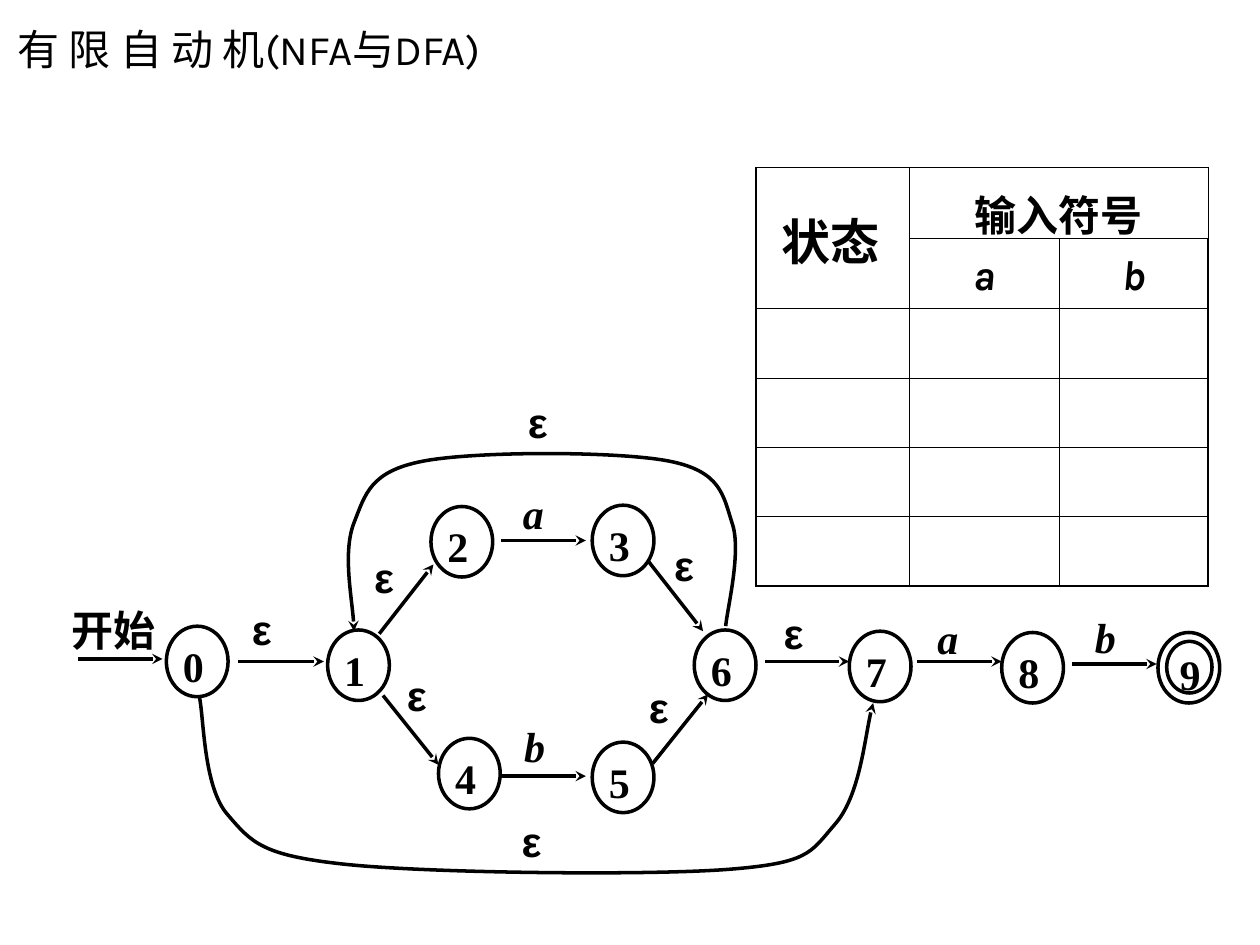
from lxml.etree import SubElement
from pptx import Presentation
from pptx.dml.color import RGBColor
from pptx.enum.shapes import MSO_CONNECTOR, MSO_SHAPE
from pptx.enum.text import MSO_ANCHOR, PP_ALIGN
from pptx.oxml import parse_xml
from pptx.oxml.ns import nsdecls, qn
from pptx.util import Inches, Pt

COLORS = {"ink": "000000", "paper": "FFFFFF"}
COLUMNS, ROWS = 100, 75  # slide grid; one step is a tenth of an inch
SERIF, SANS, TITLE = "Times New Roman", "Arial", "Karla"


class AutomatonSlide:
    def __init__(self):
        self.deck = Presentation()
        self.deck.slide_width, self.deck.slide_height = Inches(10), Inches(7.5)
        self.column = self.deck.slide_width / COLUMNS
        self.row = self.deck.slide_height / ROWS
        self.slide = self.deck.slides.add_slide(self.deck.slide_layouts[6])
        self.shapes = self.slide.shapes

    def grid(self, *lengths):
        """Turn alternating columns and rows into slide lengths."""
        return [round(n * (self.row if i % 2 else self.column))
                for i, n in enumerate(lengths)]

    def color(self, name):
        return RGBColor.from_string(COLORS[name])

    def set_text(self, frame, text, font=SERIF, size=24, bold=True, italic=False,
                 align=PP_ALIGN.LEFT, anchor=MSO_ANCHOR.TOP,
                 margins=(0.06, 0.03, 0.06, 0.03), wrap=True):
        frame.word_wrap, frame.vertical_anchor = wrap, anchor
        (frame.margin_left, frame.margin_top,
         frame.margin_right, frame.margin_bottom) = map(Inches, margins)
        paragraph = frame.paragraphs[0]
        paragraph.text, paragraph.alignment = text, align
        self.style(paragraph, font, size, bold, italic)

    def style(self, paragraph, font, size, bold, italic):
        paragraph.font.name, paragraph.font.size = font, Pt(size)
        paragraph.font.bold, paragraph.font.italic = bold, italic
        paragraph.font.color.rgb = self.color("ink")

    def stroke(self, line, arrow=False):
        line.color.rgb, line.width = self.color("ink"), Pt(2)
        if arrow:
            SubElement(line._get_or_add_ln(), qn("a:tailEnd"), type="stealth")

    def ring(self, x, y, width=4.9, height=5.6):
        ring = self.shapes.add_shape(MSO_SHAPE.OVAL, *self.grid(x, y, width, height))
        ring.shadow.inherit = False
        ring.fill.background()
        self.stroke(ring.line)
        return ring

    def state(self, number, x, y):
        self.set_text(self.ring(x, y).text_frame, number, margins=(0.06, 0.03, 0.02, 0.05))

    def accepting_state(self, number, x, y):
        self.ring(x, y)
        inner = self.ring(x + 0.7, y + 0.7, 3.6, 4.1)
        self.set_text(inner.text_frame, number, margins=(0.05, 0, 0.01, 0))

    def label(self, text, x, y, width=4.3, height=4.5):
        box = self.shapes.add_textbox(*self.grid(x, y, width, height))
        self.set_text(box.text_frame, text, font=SANS if text == "ε" else SERIF,
                      italic=text in ("a", "b"), align=PP_ALIGN.JUSTIFY)

    def arrow(self, start, end):
        arrow = self.shapes.add_connector(MSO_CONNECTOR.STRAIGHT, *self.grid(*start, *end))
        self.stroke(arrow.line, arrow=True)
        SubElement(arrow._element.spPr, qn("a:effectLst"))

    def curve(self, start, *points):
        """Draw cubic curves; every three points make one segment."""
        builder = self.shapes.build_freeform(*self.grid(*start))
        builder.add_line_segments([self.grid(*p) for p in points], close=False)
        curve = builder.convert_to_shape()
        legs = list(curve._element.iter(qn("a:lnTo")))
        outline = legs[0].getparent()
        for i in range(0, len(legs), 3):
            bezier = SubElement(outline, qn("a:cubicBezTo"))
            for leg in legs[i:i + 3]:
                bezier.append(leg[0])
                outline.remove(leg)
        curve.shadow.inherit = False
        curve.fill.background()
        self.stroke(curve.line, arrow=True)

    def panel(self, text, x, y, width, height, **style):
        panel = self.shapes.add_shape(MSO_SHAPE.RECTANGLE, *self.grid(x, y, width, height))
        panel.shadow.inherit = False
        panel.fill.solid()
        panel.fill.fore_color.rgb = self.color("paper")
        panel.line.fill.background()
        self.set_text(panel.text_frame, text, anchor=MSO_ANCHOR.MIDDLE, **style)

    def border(self, cell, widths):
        properties = cell._tc.get_or_add_tcPr()
        for i, (side, width) in enumerate(zip("LRTB", widths)):
            properties.insert(i, parse_xml(
                f'<a:ln{side} {nsdecls("a")} w="{Pt(width)}"><a:solidFill>'
                f'<a:srgbClr val="{COLORS["ink"]}"/></a:solidFill></a:ln{side}>'))

    def transition_table(self, x, y, widths, heights, merges, headings):
        frame = self.shapes.add_table(len(heights), len(widths),
                                      *self.grid(x, y, sum(widths), sum(heights)))
        table = frame.table
        table.first_row = table.horz_banding = False
        for column, width in zip(table.columns, widths):
            column.width = round(width * self.column)
        for row, height in zip(table.rows, heights):
            row.height = round(height * self.row)
        last_row, last_column = len(heights) - 1, len(widths) - 1
        for r in range(len(heights)):
            for c in range(len(widths)):
                cell = table.cell(r, c)
                cell.fill.background()
                outer = (c == 0, c == last_column, r == 0, r == last_row)
                self.border(cell, [1.08 if edge else 0.45 for edge in outer])
        for first, last in merges:
            table.cell(*first).merge(table.cell(*last))
        for (r, c), text in headings.items():
            cell = table.cell(r, c)
            cell.margin_left = cell.margin_right = Inches(0.06)
            paragraph = cell.text_frame.paragraphs[0]
            paragraph.text, paragraph.alignment = text, PP_ALIGN.CENTER
            paragraph.line_spacing = 1.15
            self.style(paragraph, TITLE, 24, True, text in ("a", "b"))


def main():
    page = AutomatonSlide()

    # States
    for number, place in enumerate([
            (13.2, 49.7), (26, 50), (34.2, 40.2), (47, 40.1), (34.8, 58.6),
            (47, 58.9), (55.1, 50), (67.4, 50.1), (79.5, 50.2)]):
        page.state(str(number), *place)
    page.accepting_state("9", 91.9, 50.2)

    # Straight transitions: symbol, label place, arrow start, arrow end
    for symbol, place, start, end in [
            ("ε", (19.4, 47.6), (18.9, 52.5), (25.7, 52.5)),
            ("ε", (29.1, 43.5), (30.1, 50.3), (34.4, 44.8)),
            ("ε", (31.7, 52.8), (30.4, 55.2), (34.8, 60.7)),
            ("a", (40.9, 38.4), (39.8, 42.9), (46.5, 42.9)),
            ("b", (41, 56.9), (39.8, 61.6), (46.5, 61.6)),
            ("ε", (52.9, 42.5), (51.5, 44.6), (55.8, 50.1)),
            ("ε", (50.9, 53.8), (51.8, 60.6), (56.2, 55.1)),
            ("ε", (61.6, 47.9), (60.7, 52.5), (67.4, 52.5)),
            ("a", (73.8, 48.3), (72.8, 52.5), (79.5, 52.5)),
            ("b", (86.3, 48.2), (85.1, 52.7), (91.8, 52.7))]:
        page.label(symbol, *place)
        page.arrow(start, end)
    page.label("开始", 5.1, 47.7, 7.9, 5.3)
    page.arrow((6.2, 52.3), (12.9, 52.3))

    # Curved transitions: 0 to 7 below, 6 back to 1 above
    page.curve((15.8, 55.2),
               (16.2, 56.8), (16.1, 62.5), (18.1, 64.7),
               (20, 66.9), (20.8, 67.9), (27.4, 68.6),
               (34, 69.3), (51.3, 69.5), (57.8, 69),
               (64.2, 68.5), (64.3, 67.7), (66.2, 65.5),
               (68.2, 63.3), (68.7, 57.8), (69.3, 55.8))
    page.label("ε", 40.8, 64.4)
    page.curve((57.6, 49.7),
               (57.7, 48.4), (58.9, 43.7), (58.1, 41.5),
               (57.4, 39.3), (57.2, 37.4), (53.1, 36.6),
               (49, 35.8), (37.8, 35.8), (33.6, 36.6),
               (29.4, 37.4), (29, 39.2), (28.1, 41.5),
               (27.2, 43.8), (28.1, 48.3), (28.1, 50.1))
    page.label("ε", 41.3, 31.2)

    # Transition table
    page.transition_table(
        60, 13.3, widths=[12.2, 11.9, 11.8], heights=[5.3] * 2 + [5.5] * 4,
        merges=[((0, 0), (1, 0)), ((0, 1), (0, 2))],
        headings={(0, 1): "输入符号", (1, 1): "a", (1, 2): "b"})
    page.panel("状态", 61.3, 15, 9.2, 8.3, size=28, align=PP_ALIGN.CENTER, wrap=False)

    # Title
    page.panel("有 限 自 动 机(NFA与DFA)", 0.4, 0.5, 41, 6.8, font=TITLE,
               bold=False, margins=(0.1, 0.05, 0.2, 0.05))

    page.deck.save("out.pptx")


if __name__ == "__main__":
    main()
